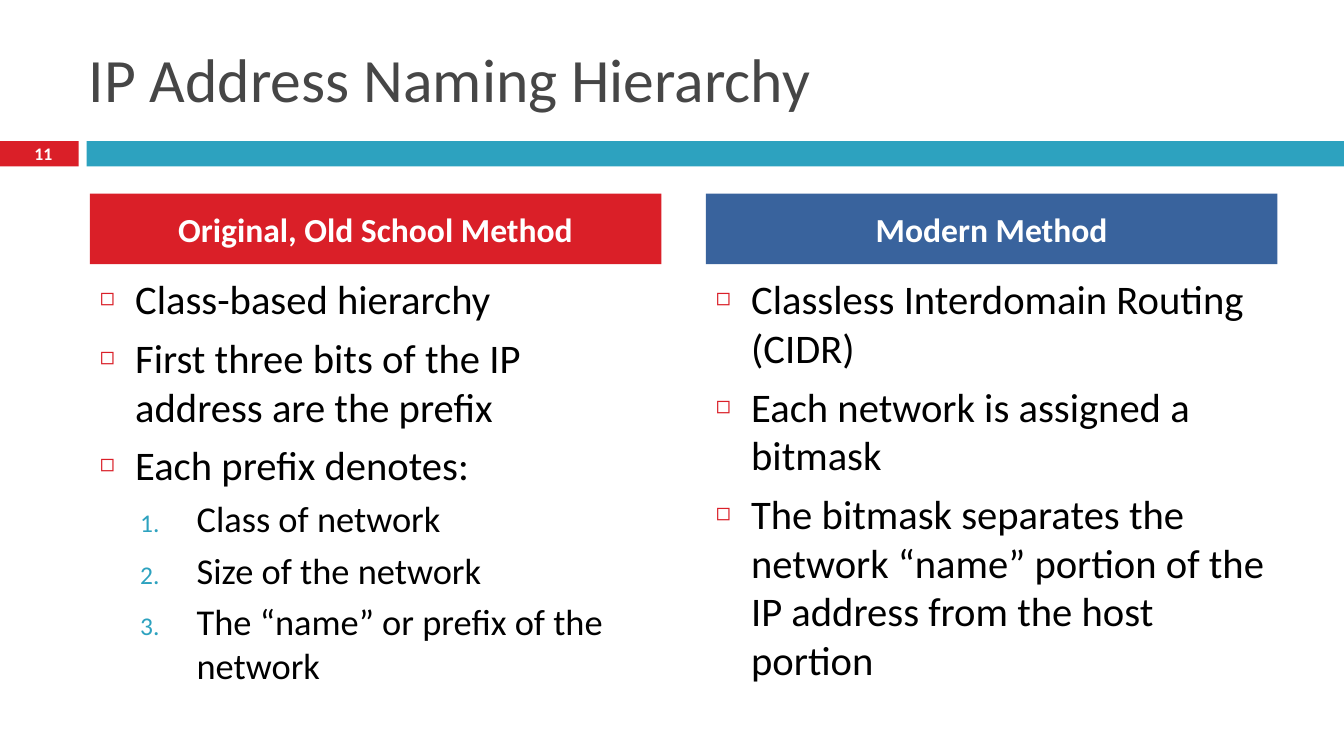
import lxml.etree
import pptx
import pptx.dml.color
import pptx.enum.shapes
import pptx.enum.text
import pptx.oxml.ns
import pptx.util

PX = 9144
FONT = "Calibri"
COLORS = {
    "red": "DA1F28",
    "teal": "2DA2BF",
    "blue": "39639D",
    "title": "464646",
    "black": "000000",
    "white": "FFFFFF",
}
COLUMNS = [
    {
        "heading": "Original, Old School Method",
        "fill": "red",
        "items": [
            (0, "Class-based hierarchy"),
            (0, "First three bits of the IP address are the prefix"),
            (0, "Each prefix denotes:"),
            (1, "Class of network"),
            (1, "Size of the network"),
            (1, "The “name” or prefix of the network"),
        ],
    },
    {
        "heading": "Modern Method",
        "fill": "blue",
        "items": [
            (0, "Classless Interdomain Routing (CIDR)"),
            (0, "Each network is assigned a bitmask"),
            (0, "The bitmask separates the network “name” portion of the IP address from the host portion"),
        ],
    },
]
LEVELS = [
    {"size": 29, "before": 7, "left": 35, "hang": 35, "color": "red",
     "percent": 60, "bullet": ("buChar", {"char": "◻"})},
    {"size": 26, "before": 5.5, "left": 96, "hang": 56, "color": "teal",
     "percent": 70, "bullet": ("buAutoNum", {"type": "arabicPeriod"})},
]


def rgb(name):
    return pptx.dml.color.RGBColor.from_string(COLORS[name])


def place(sp, left, top, width, height):
    sp.left, sp.top = left * PX, top * PX
    sp.width, sp.height = width * PX, height * PX


def setup_frame(sp, anchor):
    tf = sp.text_frame
    tf.word_wrap = True
    tf.auto_size = pptx.enum.text.MSO_AUTO_SIZE.NONE
    tf.vertical_anchor = anchor
    return tf


def write(p, text, size=24, color="black", bold=False, align="LEFT"):
    p.alignment = getattr(pptx.enum.text.PP_ALIGN, align)
    r = p.add_run()
    r.text = text
    r.font.name = FONT
    r.font.size = pptx.util.Pt(size)
    r.font.bold = bold
    r.font.color.rgb = rgb(color)


def add_label(sp, text, **fmt):
    tf = setup_frame(sp, pptx.enum.text.MSO_ANCHOR.MIDDLE)
    write(tf.paragraphs[0], text, **fmt)


def add_bullet(p, level):
    pPr = p._p.get_or_add_pPr()
    pPr.set("marL", str(level["left"] * PX))
    pPr.set("indent", str(-level["hang"] * PX))
    qn = pptx.oxml.ns.qn
    color = lxml.etree.SubElement(pPr, qn("a:buClr"))
    lxml.etree.SubElement(color, qn("a:srgbClr"), val=COLORS[level["color"]])
    lxml.etree.SubElement(pPr, qn("a:buSzPct"), val=str(level["percent"] * 1000))
    lxml.etree.SubElement(pPr, qn("a:buFont"), typeface=FONT)
    tag, attrs = level["bullet"]
    lxml.etree.SubElement(pPr, qn("a:" + tag), attrs)


def add_list(sp, items):
    tf = setup_frame(sp, pptx.enum.text.MSO_ANCHOR.TOP)
    for i, (depth, text) in enumerate(items):
        level = LEVELS[depth]
        p = tf.add_paragraph() if i else tf.paragraphs[0]
        p.level = depth
        add_bullet(p, level)
        p.space_before = pptx.util.Pt(level["before"] if i else 0)
        write(p, text, size=level["size"])


def add_bar(slide, left, top, width, height, color):
    sp = slide.shapes.add_shape(
        pptx.enum.shapes.MSO_SHAPE.RECTANGLE,
        left * PX, top * PX, width * PX, height * PX)
    sp.shadow.inherit = False
    sp.fill.solid()
    sp.fill.fore_color.rgb = rgb(color)
    sp.line.fill.background()


def add_column(heading, body, left, column):
    place(heading, left, 192, 567, 70)
    heading.fill.solid()
    heading.fill.fore_color.rgb = rgb(column["fill"])
    add_label(heading, column["heading"], color="white", bold=True, align="CENTER")
    heading.text_frame.paragraphs[0].space_before = pptx.util.Pt(0)
    place(body, left, 267, 567, 392)
    add_list(body, column["items"])


def main():
    prs = pptx.Presentation()
    prs.slide_width, prs.slide_height = 1333 * PX, 750 * PX
    slide = prs.slides.add_slide(prs.slide_layouts.get_by_name("Comparison"))

    add_bar(slide, 0, 140, 78, 25, "red")
    add_bar(slide, 86, 140, 1247, 25, "teal")
    number = slide.shapes.add_textbox(0, 138 * PX, 86 * PX, 29 * PX)
    add_label(number, "11", size=12.6, color="white", bold=True, align="CENTER")

    title = slide.shapes.title
    place(title, 78, 30, 1189, 95)
    add_label(title, "IP Address Naming Hierarchy", size=44, color="title")

    holders = list(slide.placeholders)[1:]
    for i, column in enumerate(COLUMNS):
        heading, body = holders[2 * i:2 * i + 2]
        add_column(heading, body, 89 + 611 * i, column)

    prs.save("out.pptx")


if __name__ == "__main__":
    main()
